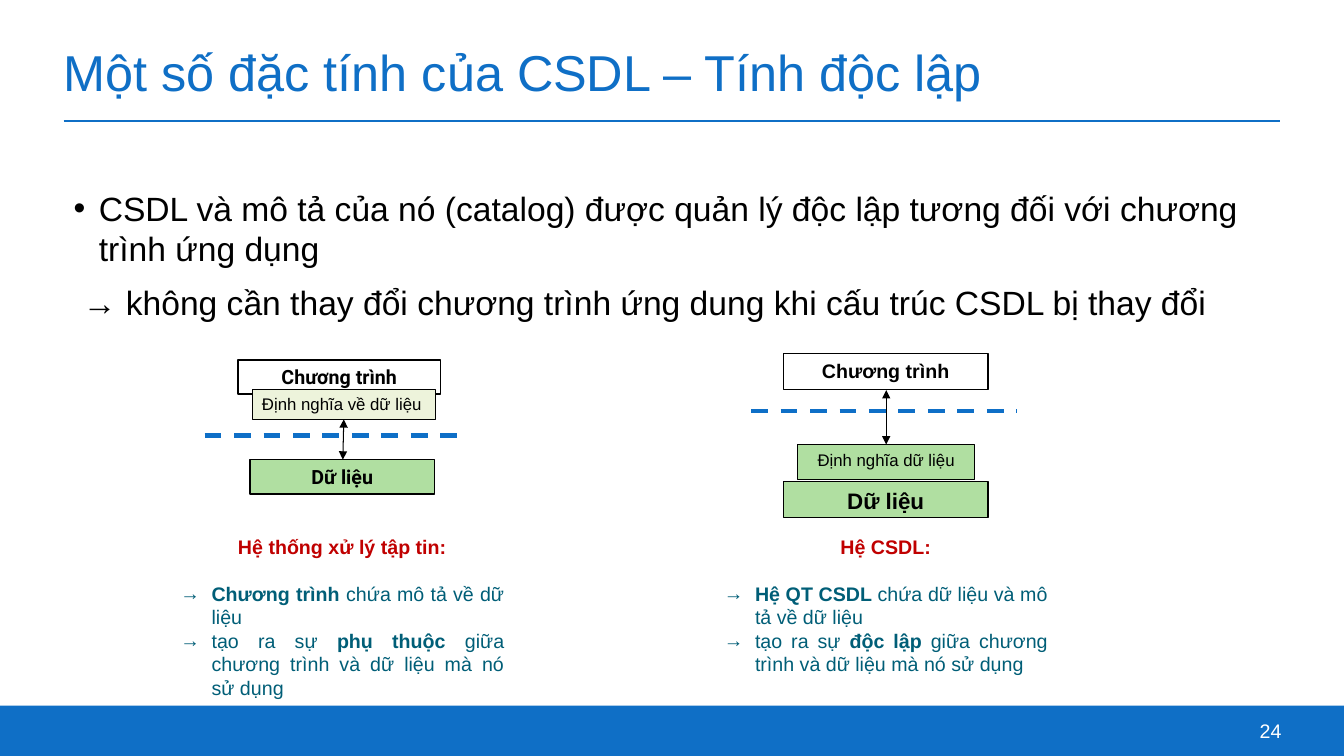
"""Build the slide on data independence in database systems."""
from lxml import etree
from pptx import Presentation
from pptx.dml.color import RGBColor
from pptx.enum import dml, shapes, text
from pptx.oxml import ns
from pptx.util import Inches, Pt

BLUE = RGBColor(0x0F, 0x6F, 0xC6)
DASH = RGBColor(0x0E, 0x6F, 0xC7)
BLACK = RGBColor(0, 0, 0)
WHITE = RGBColor(255, 255, 255)
GREEN = RGBColor(0xB0, 0xDF, 0xA1)
CREAM = RGBColor(0xED, 0xF3, 0xDB)
RED = RGBColor(0xC0, 0, 0)
TEAL = RGBColor(0, 0x5E, 0x77)
LEFT, MID, RIGHT, EVEN = (text.PP_ALIGN.LEFT, text.PP_ALIGN.CENTER,
                          text.PP_ALIGN.RIGHT, text.PP_ALIGN.JUSTIFY)


def style(para, size, color, align=LEFT, bold=False, face="Arial"):
    para.alignment = align
    para.font.size = Pt(size)
    para.font.color.rgb = color
    para.font.bold = bold
    para.font.name = face


def bullet(para, mark, indent):
    props = para._p.get_or_add_pPr()
    props.set("marL", str(Inches(indent)))
    props.set("indent", str(-Inches(indent)))
    if mark:
        etree.SubElement(props, ns.qn("a:buFont")).set("typeface", "Arial")
        etree.SubElement(props, ns.qn("a:buChar")).set("char", mark)
    else:
        etree.SubElement(props, ns.qn("a:buNone"))


deck = Presentation()
deck.slide_width, deck.slide_height = Inches(13.33), Inches(7.5)
slide = deck.slides.add_slide(deck.slide_layouts[1])
items = slide.shapes

band = items.add_shape(shapes.MSO_SHAPE.RECTANGLE, 0, Inches(7), Inches(13.33), Inches(0.5))
band.shadow.inherit = False
band.fill.solid()
band.fill.fore_color.rgb = BLUE
band.line.fill.background()

title = items.title
title.left, title.top, title.width, title.height = map(Inches, (0.63, 0.23, 12.07, 0.96))
title.text_frame.text = "Một số đặc tính của CSDL – Tính độc lập"
style(title.text_frame.paragraphs[0], 36, BLUE)

number = items.add_textbox(Inches(12), Inches(7), Inches(0.71), Inches(0.5))
number.text_frame.text = "24"
style(number.text_frame.paragraphs[0], 14, WHITE, RIGHT)

for shape in (title, number):
    frame = shape.text_frame
    frame.word_wrap = True
    frame.vertical_anchor = text.MSO_ANCHOR.MIDDLE
    frame.margin_left = frame.margin_right = frame.margin_top = frame.margin_bottom = 0

body = slide.placeholders[1]
body.left, body.top, body.width, body.height = map(Inches, (0.63, 1.81, 12.07, 1.46))
frame = body.text_frame
frame.auto_size = text.MSO_AUTO_SIZE.NONE
frame.text = (
    "CSDL và mô tả của nó (catalog) được quản lý độc lập tương đối với chương trình ứng dụng\n"
    " → không cần thay đổi chương trình ứng dung khi cấu trúc CSDL bị thay đổi")
for para, mark, indent in zip(frame.paragraphs, ("•", None), (0.25, 0)):
    style(para, 24, BLACK)
    para.space_before = Pt(10)
    bullet(para, mark, indent)

boxes = [
    (2.36, 3.57, 2.01, 0.34, "Chương trình", 14, "Roboto", True, None, 1, MID),
    (2.48, 4.56, 1.83, 0.34, "Dữ liệu", 14, "Roboto", True, GREEN, 1, MID),
    (2.5, 3.86, 1.82, 0.3, "Định nghĩa về dữ liệu", 12, "Arial", False, CREAM, 0.75, LEFT),
    (7.77, 3.51, 2.03, 0.35, "Chương trình", 14, "Arial", True, None, 0.75, MID),
    (7.91, 4.41, 1.76, 0.35, "Định nghĩa dữ liệu", 12, "Arial", False, GREEN, 0.75, MID),
    (7.77, 4.78, 2.03, 0.35, "Dữ liệu", 16, "Arial", True, GREEN, 0.75, MID),
]
for x, y, wide, high, label, size, face, bold, fill, width, align in boxes:
    box = items.add_shape(shapes.MSO_SHAPE.RECTANGLE, *map(Inches, (x, y, wide, high)))
    box.shadow.inherit = False
    if fill:
        box.fill.solid()
        box.fill.fore_color.rgb = fill
    else:
        box.fill.background()
    box.line.color.rgb = BLACK
    box.line.width = Pt(width)
    box.text_frame.word_wrap = True
    box.text_frame.vertical_anchor = text.MSO_ANCHOR.TOP
    box.text_frame.text = label
    style(box.text_frame.paragraphs[0], size, BLACK, align, bold, face)

lines = [
    (0.63, 1.2, 12.7, 1.2, BLUE, 1, "plain"),
    (2.03, 4.32, 4.53, 4.32, DASH, 3, "dash"),
    (7.45, 4.08, 10.08, 4.08, DASH, 3, "dash"),
    (3.41, 4.16, 3.4, 4.56, BLACK, 0.75, "arrow"),
    (8.79, 3.87, 8.79, 4.41, BLACK, 0.75, "arrow"),
]
for *ends, color, width, kind in lines:
    link = items.add_connector(shapes.MSO_CONNECTOR.STRAIGHT, *map(Inches, ends))
    link.line.color.rgb = color
    link.line.width = Pt(width)
    if kind == "dash":
        link.line.dash_style = dml.MSO_LINE.DASH
    if kind == "arrow":
        for end in ("a:headEnd", "a:tailEnd"):
            etree.SubElement(link.line._ln, ns.qn(end)).set("type", "triangle")
    etree.SubElement(link._element.spPr, ns.qn("a:effectLst"))

notes = [
    (1.69, 1.75, "Hệ thống xử lý tập tin:", "Chương trình ", "chứa mô tả về dữ liệu ", "phụ thuộc "),
    (7.08, 1.51, "Hệ CSDL:", "Hệ QT CSDL ", "chứa dữ liệu và mô tả về dữ liệu ", "độc lập "),
]
for x, high, head, owner, holds, trait in notes:
    frame = items.add_textbox(Inches(x), Inches(5.26), Inches(3.41), Inches(high)).text_frame
    frame.word_wrap = True
    frame.text = head
    style(frame.paragraphs[0], 14, RED, MID, True)
    frame.paragraphs[0].space_after = Pt(16.5)
    for parts in (
        [(owner, True), (holds, False)],
        [("tạo ra sự ", False), (trait, True),
         ("giữa chương trình và dữ liệu mà nó sử dụng", False)],
    ):
        para = frame.add_paragraph()
        style(para, 14, TEAL, EVEN)
        bullet(para, "→", 0.31)
        for words, bold in parts:
            run = para.add_run()
            run.text = words
            run.font.bold = bold

deck.save("out.pptx")
